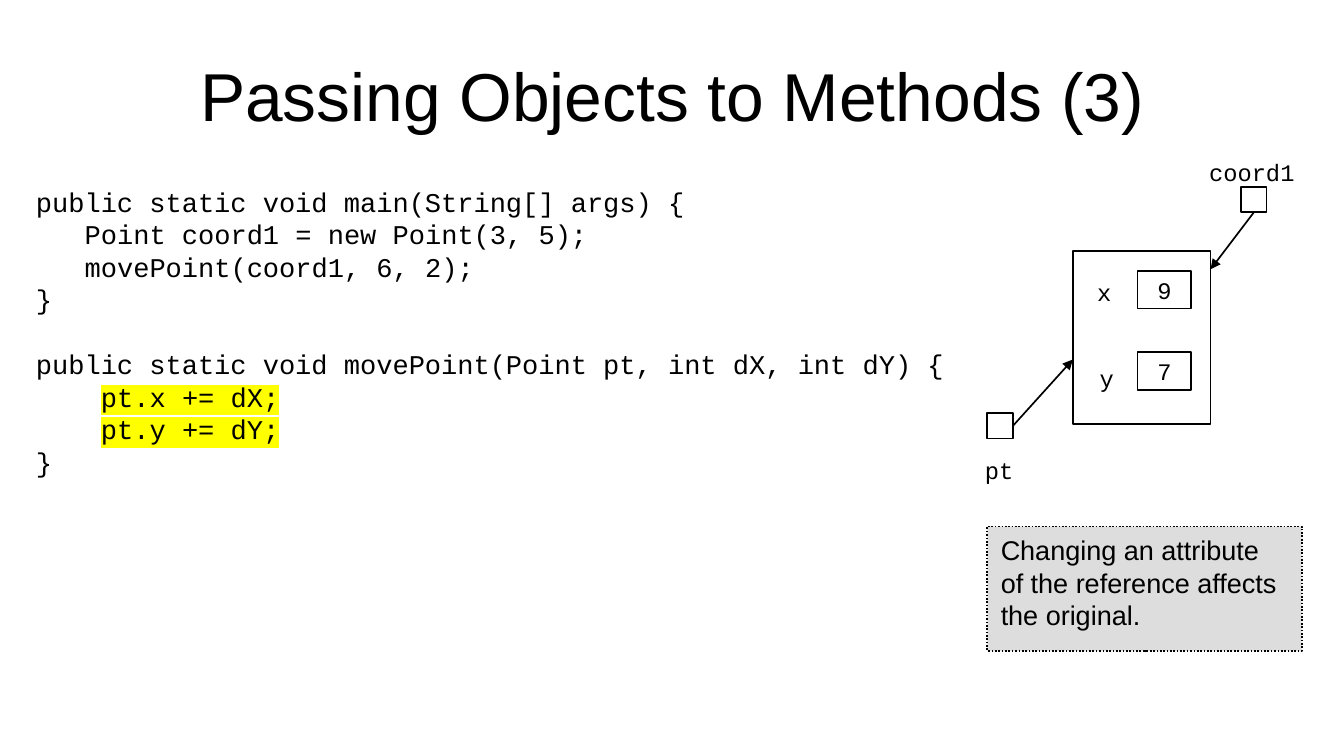
from pptx import Presentation
from pptx.dml.color import RGBColor
from pptx.enum.dml import MSO_LINE
from pptx.enum.shapes import MSO_CONNECTOR, MSO_SHAPE
from pptx.enum.text import MSO_ANCHOR as Anchor, PP_ALIGN as Align
from pptx.oxml.ns import qn
from pptx.util import Cm, Pt
from lxml.etree import SubElement, Element

MONO, SANS = "Courier New", "Arial"
BLACK, WHITE, GREY, YELLOW = map(RGBColor.from_string, ("000000", "FFFFFF", "DDDDDD", "FFFF00"))


def write(frame, text, size=14, font=MONO, align=Align.LEFT, anchor=Anchor.TOP,
          pad=(0.25, 0.13), wrap=False, pitch=None, mark=()):
    """Fill a frame line by line; leading spaces become indents, empty lines
    become space before, and the lines numbered in mark are highlighted."""
    frame.word_wrap, frame.vertical_anchor = wrap, anchor
    frame.margin_left = frame.margin_right = Cm(pad[0])
    frame.margin_top = frame.margin_bottom = Cm(pad[1])
    gap, para = 0, None
    for num, line in enumerate(text.split("\n")):
        if not line:
            gap = pitch
            continue
        para = frame.add_paragraph() if para else frame.paragraphs[0]
        para.alignment = align
        if pitch:
            para.line_spacing, para.space_before = Pt(pitch), Pt(gap)
        gap = 0
        code = line.lstrip()
        indent = len(line) - len(code)
        if indent:
            props = para._p.get_or_add_pPr()
            props.set("marL", str(Pt(indent * size * 0.6)))
            props.set("indent", "0")
        run = para.add_run()
        run.text = code
        run.font.size, run.font.name = Pt(size), font
        run.font.color.rgb = BLACK
        if num in mark:
            light = Element(qn("a:highlight"))
            SubElement(light, qn("a:srgbClr"), val=str(YELLOW))
            run._r.rPr.find(qn("a:solidFill")).addnext(light)


def draw_box(left, top, width, height, fill=WHITE):
    box = shapes.add_shape(MSO_SHAPE.RECTANGLE, Cm(left), Cm(top), Cm(width), Cm(height))
    box.shadow.inherit = False
    box.fill.solid()
    box.fill.fore_color.rgb = fill
    box.line.color.rgb, box.line.width = BLACK, Pt(1)
    return box


deck = Presentation()
deck.slide_width, deck.slide_height = Cm(28), Cm(15.75)
slide = deck.slides.add_slide(deck.slide_layouts[5])
shapes = slide.shapes

# Title
title = shapes.title
title.left, title.top, title.width, title.height = Cm(1.4), Cm(0.64), Cm(25.2), Cm(2.64)
write(title.text_frame, "Passing Objects to Methods (3)", size=40, font=SANS,
      align=Align.CENTER, anchor=Anchor.MIDDLE, pad=(0, 0), wrap=True)

# Code
code = """public static void main(String[] args) {
   Point coord1 = new Point(3, 5);
   movePoint(coord1, 6, 2);
}

public static void movePoint(Point pt, int dX, int dY) {
    pt.x += dX;
    pt.y += dY;
}"""
area = shapes.add_textbox(Cm(0.5), Cm(3.73), Cm(19.46), Cm(7.92))
write(area.text_frame, code, size=16, pitch=19.2, mark=(6, 7))

# The object, its fields and the two references to it
draw_box(22.35, 5.23, 2.87, 3.61)
for value, top in (("9", 5.64), ("7", 7.34)):
    field = draw_box(23.7, top, 1.12, 0.79)
    write(field.text_frame, value, align=Align.CENTER, anchor=Anchor.MIDDLE, pad=(0.28, 0.15))

for name, left, top, width in (("coord1", 24.94, 3.15, 2.29), ("x", 22.61, 5.66, 0.81),
                               ("y", 22.66, 7.44, 0.84), ("pt", 20.27, 9.37, 1.12)):
    label = shapes.add_textbox(Cm(left), Cm(top), Cm(width), Cm(0.81))
    write(label.text_frame, name)

for left, top, side, end in ((25.86, 3.89, 2, (25.22, 5.61)), (20.57, 8.61, 3, (22.35, 7.49))):
    ref = draw_box(left, top, 0.53, 0.53)
    arrow = shapes.add_connector(MSO_CONNECTOR.STRAIGHT, Cm(left), Cm(top), Cm(end[0]), Cm(end[1]))
    arrow.begin_connect(ref, side)
    arrow.line.color.rgb, arrow.line.width = BLACK, Pt(1)
    SubElement(arrow.line._get_or_add_ln(), qn("a:tailEnd"), type="triangle")
    SubElement(arrow._element.spPr, qn("a:effectLst"))

# Note
note = draw_box(20.57, 10.97, 6.55, 2.59, fill=GREY)
note.line.dash_style = MSO_LINE.ROUND_DOT
write(note.text_frame, "Changing an attribute of the reference affects the original.",
      size=16, font=SANS, pad=(0.28, 0.15), wrap=True, pitch=19.2)

deck.save("out.pptx")
